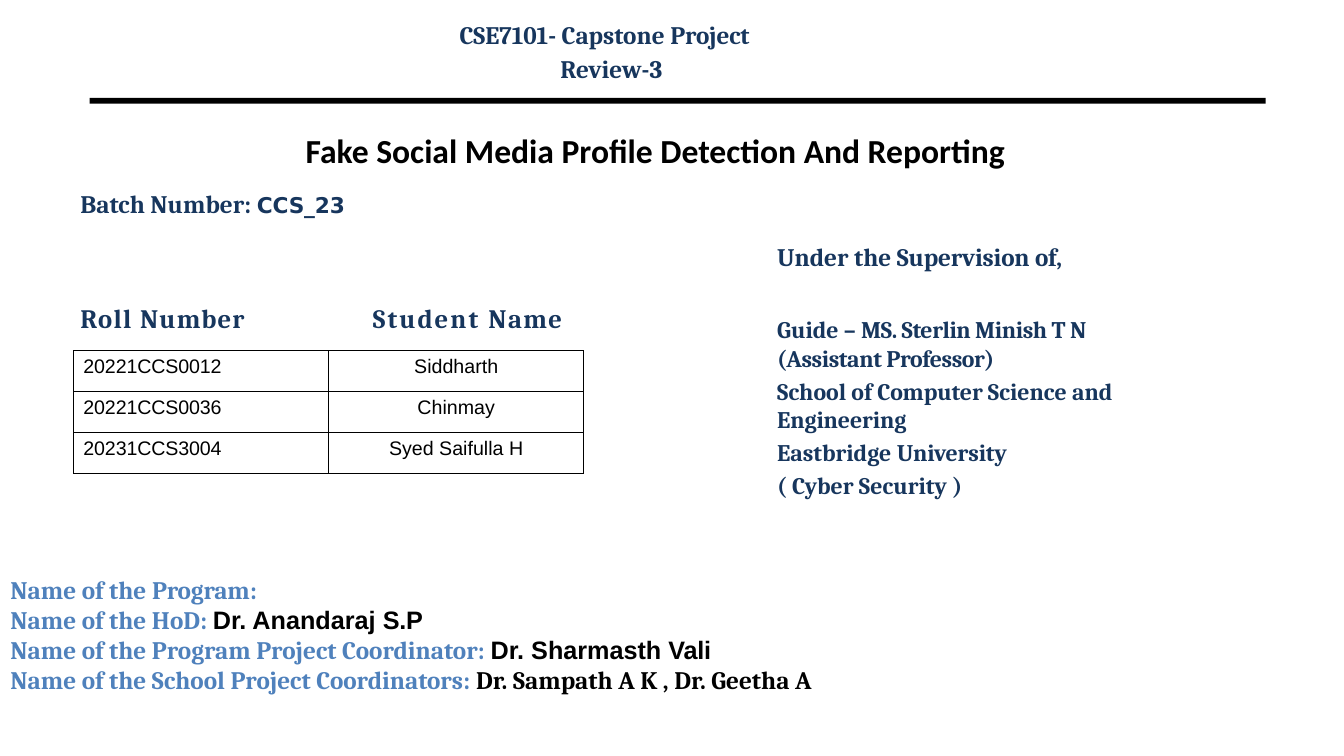
"""Build the capstone project review cover slide."""
from lxml import etree
from pptx import Presentation
from pptx.dml.color import RGBColor
from pptx.enum.text import MSO_ANCHOR, MSO_AUTO_SIZE, PP_ALIGN
from pptx.oxml.ns import qn
from pptx.util import Pt

TOP = MSO_ANCHOR.TOP
GROW = MSO_AUTO_SIZE.SHAPE_TO_FIT_TEXT
LEFT, CENTER = PP_ALIGN.LEFT, PP_ALIGN.CENTER
NAVY = RGBColor(0x17, 0x36, 0x5D)
BLUE = RGBColor(0x4F, 0x81, 0xBC)
BLACK = RGBColor(0, 0, 0)

HEADING = ("Cambria", 18, NAVY, True)
TOPIC = ("Calibri", 24, BLACK, True)
BATCH = ("DejaVu Sans", 15.5, NAVY, True)
GUIDE = ("Cambria", 17, NAVY, True)
LABEL = ("Cambria", 18, BLUE, True)
PERSON = ("Arial", 18, BLACK, True)
COORDINATOR = ("Cambria", 18, BLACK, True)
COLUMN = ("Cambria", 19, NAVY, True)
STUDENT = ("Arial", 14, BLACK, False)

TITLE = [("CSE7101- Capstone ", HEADING, 0), ("Project ", HEADING, -0.1),
         ("Review-", HEADING, 0), ("3", HEADING, -0.5)]

TOPIC_LAYOUT = {"align": CENTER, "left": 93, "right": 64}
GUIDE_LAYOUT = {"left": 548.6, "right": 95}
STAFF_LAYOUT = {"left": 1}
BODY = [
    (TOPIC_LAYOUT, 1.1, [("Fake Social Media Profile Detection And Reporting", TOPIC, 0)]),
    ({"left": 51}, 13, [("Batch Number: ", HEADING, 0), ("CCS_23", BATCH, -0.1)]),
    (GUIDE_LAYOUT, 16.3, [("Under the ", HEADING, 0), ("Supervision ", HEADING, -0.1),
                          ("of,", HEADING, -0.2)]),
    (GUIDE_LAYOUT, 31, [("Guide – ", GUIDE, 0),
                        ("MS. Sterlin Minish T N (Assistant Professor)", GUIDE, -0.3)]),
    (GUIDE_LAYOUT, 3, [("School of ", GUIDE, 0), ("Computer ", GUIDE, -0.1),
                       ("Science and ", GUIDE, 0), ("Engineering", GUIDE, -0.1)]),
    (GUIDE_LAYOUT, 3, [("Eastbridge ", GUIDE, 0), ("University", GUIDE, -0.1)]),
    (GUIDE_LAYOUT, 3, [("( Cyber Security ", GUIDE, 0), (")", GUIDE, -0.5)]),
    (STAFF_LAYOUT, 53.5, [("Name of the ", LABEL, 0), ("Program:", LABEL, -0.1)]),
    (STAFF_LAYOUT, 0, [("Name of the HoD: ", LABEL, 0), ("Dr. Anandaraj ", PERSON, 0),
                       ("S.P", PERSON, -0.2)]),
    (STAFF_LAYOUT, 0, [("Name of the Program Project Coordinator: ", LABEL, 0),
                       ("Dr. Sharmasth ", PERSON, 0), ("Vali", PERSON, -0.2)]),
    (STAFF_LAYOUT, 0, [("Name of the School Project Coordinators: ", LABEL, 0),
                       ("Dr. Sampath A K , Dr. Geetha ", COORDINATOR, 0),
                       ("A", COORDINATOR, -0.5)]),
]

COLUMNS = [
    ({"left": 2, "line": Pt(21.4)}, [("Roll ", COLUMN, 1), ("Number", COLUMN, 0.8)]),
    ({"left": 42.5, "line": Pt(21.4)}, [("Student ", COLUMN, 1.5), ("Name", COLUMN, 1)]),
]
STUDENTS = [("20221CCS0012", "Siddharth"), ("20221CCS0036", "Chinmay"),
            ("20231CCS3004", "Syed Saifulla H")]

RULE_LEFT, RULE_RIGHT = 64, 904.3
RULE_BANDS = [(69.8, 72.7), (73.4, 74.2)]


def write(p, runs, before=0, align=LEFT, left=0, right=0, indent=0, line=None):
    p.alignment = align
    p.space_before = Pt(before)
    if line:
        p.line_spacing = line
    pPr = p._p.get_or_add_pPr()
    for name, value in (("marL", left), ("marR", right), ("indent", indent)):
        pPr.set(name, str(Pt(value)))
    for text, (font, size, color, bold), spacing in runs:
        r = p.add_run()
        r.text = text
        r.font.name, r.font.size, r.font.bold = font, Pt(size), bold
        r.font.color.rgb = color
        r._r.get_or_add_rPr().set("spc", str(round(spacing * 100)))


def set_frame(tf, top):
    tf.word_wrap = True
    tf.auto_size = GROW
    tf.vertical_anchor = TOP
    tf.margin_left = tf.margin_right = tf.margin_bottom = 0
    tf.margin_top = Pt(top)


def add_grid(slide, left, top, widths, row_height, rows, margin_top=0):
    """Add a plain table whose cells are (layout, runs) pairs."""
    table = slide.shapes.add_table(len(rows), len(widths), Pt(left), Pt(top), Pt(sum(widths)),
                                   Pt(row_height * len(rows))).table
    table.first_row = table.horz_banding = False
    for column, width in zip(table.columns, widths):
        column.width = Pt(width)
    for row, contents in zip(table.rows, rows):
        row.height = Pt(row_height)
        for cell, (layout, runs) in zip(row.cells, contents):
            cell.margin_left = cell.margin_right = cell.margin_bottom = 0
            cell.margin_top = Pt(margin_top)
            cell.vertical_anchor = TOP
            cell.fill.background()
            write(cell.text_frame.paragraphs[0], runs, **layout)
    return table


def add_borders(table):
    for cell in table.iter_cells():
        tcPr = cell._tc.get_or_add_tcPr()
        for i, side in enumerate(("lnL", "lnR", "lnT", "lnB")):
            ln = etree.Element(qn(f"a:{side}"), w=str(Pt(1)))
            fill = etree.SubElement(ln, qn("a:solidFill"))
            etree.SubElement(fill, qn("a:srgbClr"), val=str(BLACK))
            tcPr.insert(i, ln)


def add_rule(slide):
    first, second = [[(RULE_RIGHT, y1), (RULE_LEFT, y1), (RULE_LEFT, y2), (RULE_RIGHT, y2)]
                     for y1, y2 in RULE_BANDS]
    builder = slide.shapes.build_freeform(*first[0], scale=Pt(1))
    builder.add_line_segments(first[1:], close=True)
    builder.move_to(*second[0])
    builder.add_line_segments(second[1:], close=True)
    sp = builder.convert_to_shape()
    sp.shadow.inherit = False
    sp.fill.solid()
    sp.fill.fore_color.rgb = BLACK
    sp.line.fill.background()


def main():
    prs = Presentation()
    prs.slide_width, prs.slide_height = Pt(960), Pt(540)
    slide = prs.slides.add_slide(prs.slide_layouts[5])
    add_rule(slide)
    add_grid(slide, 55.4, 218.2, [168.5, 185.8], 22.3, [COLUMNS])

    body = slide.shapes.add_textbox(Pt(6.5), Pt(91.4), Pt(894.2), Pt(388.8))
    tf = body.text_frame
    set_frame(tf, 1.4)
    for i, (layout, before, runs) in enumerate(BODY):
        p = tf.add_paragraph() if i else tf.paragraphs[0]
        write(p, runs, before, **layout)

    title = slide.shapes.title
    title.left, title.top, title.width, title.height = Pt(327.6), Pt(10.1), Pt(224.6), Pt(49)
    set_frame(title.text_frame, 0.7)
    write(title.text_frame.paragraphs[0], TITLE, 0.9, left=72.7, indent=-72, line=1.14)

    rows = [[({"left": 7, "before": 3.5}, [(roll, STUDENT, -0.1)]),
             ({"align": CENTER, "before": 3.5}, [(name, STUDENT, 0)])]
            for roll, name in STUDENTS]
    add_borders(add_grid(slide, 52.6, 250.6, [182.2, 182.2], 29.3, rows, 3.5))
    prs.save("out.pptx")


if __name__ == "__main__":
    main()
